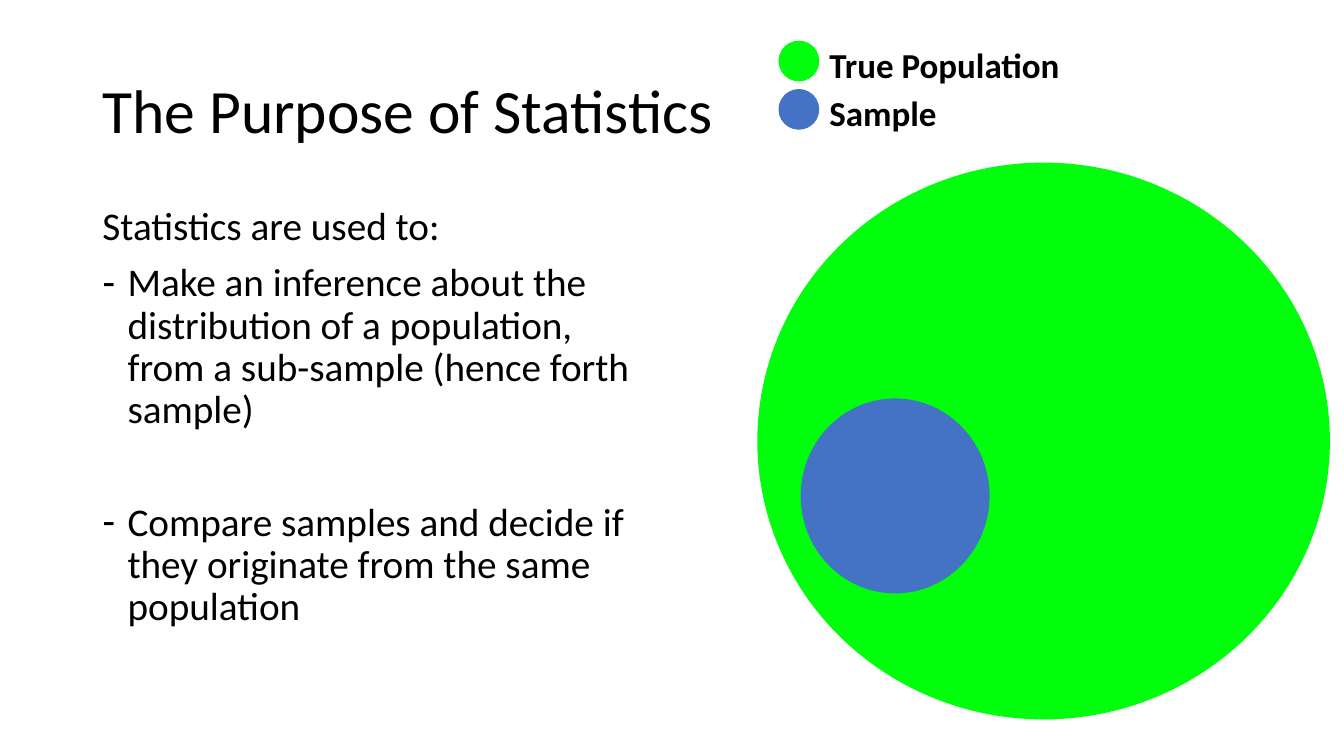
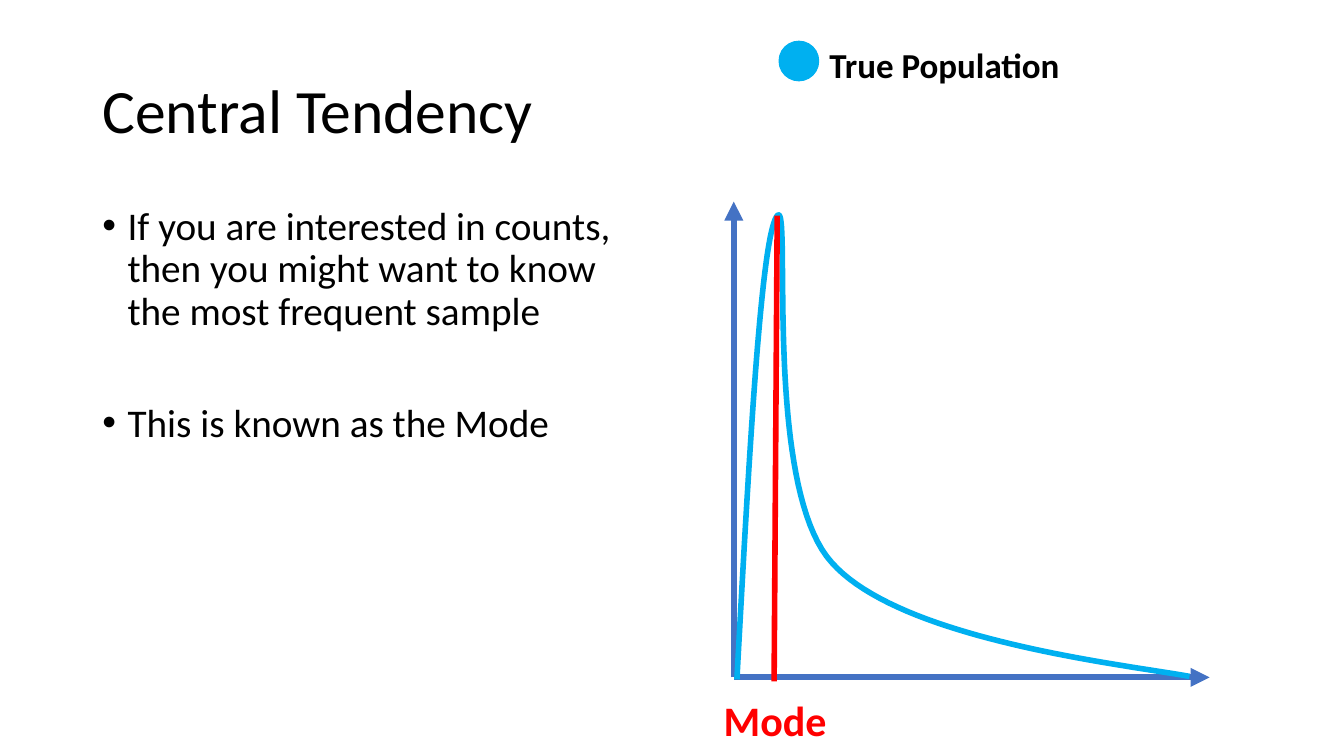
from dataclasses import dataclass

from pptx import Presentation
from pptx.dml.color import RGBColor
from pptx.enum.shapes import MSO_CONNECTOR, MSO_SHAPE
from pptx.enum.text import MSO_ANCHOR
from pptx.oxml.ns import qn
from pptx.util import Inches, Pt
from lxml.etree import SubElement


@dataclass(frozen=True)
class Theme:
    font: str = "Calibri"
    ink: str = "000000"
    green: str = "01FF0D"
    blue: str = "4472C4"
    sky: str = "00B0F0"
    red: str = "FF0000"
    title: int = 44
    body: int = 28
    key: int = 25
    mark: int = 30
    gap: int = 10
    skip: int = 50
    edge: int = 1
    curve: int = 4
    axis: float = 4.5


THEME = Theme()
WIDE, HIGH = Inches(13.333), Inches(7.5)

TITLE = (6.88, 5.33, 86.25, 19.33)
BODY = (6.88, 26.67, 42.5, 63.47)
DOT = (57.98, 5.47, 2.93, 5.2)
LABEL = (60.98, 5.07, 18.8, 6.93)
KEY_STEP = 6.4

LEFT, RIGHT, TOP, BASE = 54.6, 90, 26.67, 89.6
PEAK = (57.83, 28.53)
FOOT = (57.6, 90.13)
START = (54.83, 89.87)
BENDS = [
    ((55.73, 60.4), (56.63, 31.07), PEAK),
    ((58.95, 26), (56.7, 64.27), (61.88, 74.4)),
    ((66.98, 84.67), (83.55, 87.87), (88.5, 89.47)),
]


def place(x, y):
    return round(WIDE * x / 100), round(HIGH * y / 100)


def frame(box):
    return (*place(*box[:2]), *place(*box[2:]))


def apply(item, form):
    for name, value in form.items():
        setattr(item, name, value)


def color(tone):
    return RGBColor.from_string(tone)


def stroke(shape, tone, width):
    shape.line.color.rgb = color(tone)
    shape.line.width = Pt(width)


def text(slide, box, lines, size, tone=THEME.ink, bold=False, wrap=True,
         anchor=MSO_ANCHOR.TOP, space=1.0):
    area = slide.shapes.add_textbox(*frame(box)).text_frame
    apply(area, {"word_wrap": wrap, "vertical_anchor": anchor})
    for order, (words, sign, before) in enumerate(lines):
        para = area.add_paragraph() if order else area.paragraphs[0]
        apply(para, {"line_spacing": space, "space_before": Pt(before)})
        run = para.add_run()
        run.text = words
        apply(run.font, {"name": THEME.font, "size": Pt(size), "bold": bold})
        run.font.color.rgb = color(tone)
        if sign:
            bullet(para, sign)


def bullet(para, sign):
    props = para._p.get_or_add_pPr()
    inset = Inches(0.25)
    for name, value in {"marL": inset, "indent": -inset}.items():
        props.set(name, str(value))
    SubElement(props, qn("a:buFont"), typeface="Arial")
    SubElement(props, qn("a:buChar"), char=sign)


def disc(slide, box, tone):
    shape = slide.shapes.add_shape(MSO_SHAPE.OVAL, *frame(box))
    shape.shadow.inherit = False
    shape.fill.solid()
    shape.fill.fore_color.rgb = color(tone)
    stroke(shape, tone, THEME.edge)


def legend(slide, items):
    for row, (words, tone) in enumerate(items):
        drop = row * KEY_STEP
        dot, label = [(x, y + drop, w, h) for x, y, w, h in (DOT, LABEL)]
        disc(slide, dot, tone)
        text(slide, label, [(words, None, 0)], THEME.key, bold=True, wrap=False)


def line(slide, start, end, tone, width, arrow=False):
    rule = slide.shapes.add_connector(
        MSO_CONNECTOR.STRAIGHT, *place(*start), *place(*end))
    stroke(rule, tone, width)
    props = rule._element.spPr
    if arrow:
        SubElement(props.find(qn("a:ln")), qn("a:tailEnd"), type="triangle")
    SubElement(props, qn("a:effectLst"))


def bezier(start, bend, steps=40):
    first, second, end = bend
    for step in range(1, steps + 1):
        t = step / steps
        u = 1 - t
        yield tuple(
            u**3 * a + 3 * u * u * t * b + 3 * u * t * t * c + t**3 * d
            for a, b, c, d in zip(start, first, second, end))


def curve(slide, start, bends, tone):
    points, origin = [], start
    for bend in bends:
        points += [place(*point) for point in bezier(origin, bend)]
        origin = bend[-1]
    pen = slide.shapes.build_freeform(*place(*start))
    pen.add_line_segments(points, close=False)
    shape = pen.convert_to_shape()
    shape.shadow.inherit = False
    shape.fill.background()
    stroke(shape, tone, THEME.curve)


def page(deck, title, lines):
    slide = deck.slides.add_slide(deck.slide_layouts[6])
    text(slide, TITLE, [(title, None, 0)], THEME.title,
         anchor=MSO_ANCHOR.MIDDLE, space=0.9)
    text(slide, BODY, lines, THEME.body, space=0.9)
    return slide


def purpose(deck):
    slide = page(deck, "The Purpose of Statistics", [
        ("Statistics are used to:", None, THEME.gap),
        ("Make an inference about the distribution of a population, "
         "from a sub-sample (hence forth sample)", "-", THEME.gap),
        ("Compare samples and decide if they originate from the same "
         "population", "-", THEME.skip),
    ])
    disc(slide, (56.4, 21.6, 42.5, 73.47), THEME.green)
    disc(slide, (59.63, 52.8, 13.95, 25.6), THEME.blue)
    legend(slide, [("True Population", THEME.green), ("Sample", THEME.blue)])


def center(deck):
    slide = page(deck, "Central Tendency", [
        ("If you are interested in counts, then you might want to know "
         "the most frequent sample", "•", THEME.gap),
        ("This is known as the Mode", "•", THEME.skip),
    ])
    for tip in ((LEFT, TOP), (RIGHT, BASE)):
        line(slide, (LEFT, BASE), tip, THEME.blue, THEME.axis, arrow=True)
    legend(slide, [("True Population", THEME.sky)])
    curve(slide, START, BENDS, THEME.sky)
    line(slide, PEAK, FOOT, THEME.red, THEME.curve)
    text(slide, (53.1, 91.2, 9.23, 8.13), [("Mode", None, 0)], THEME.mark,
         tone=THEME.red, bold=True, wrap=False)


def main():
    deck = Presentation()
    apply(deck, {"slide_width": WIDE, "slide_height": HIGH})
    purpose(deck)
    center(deck)
    deck.save("out.pptx")


if __name__ == "__main__":
    main()
